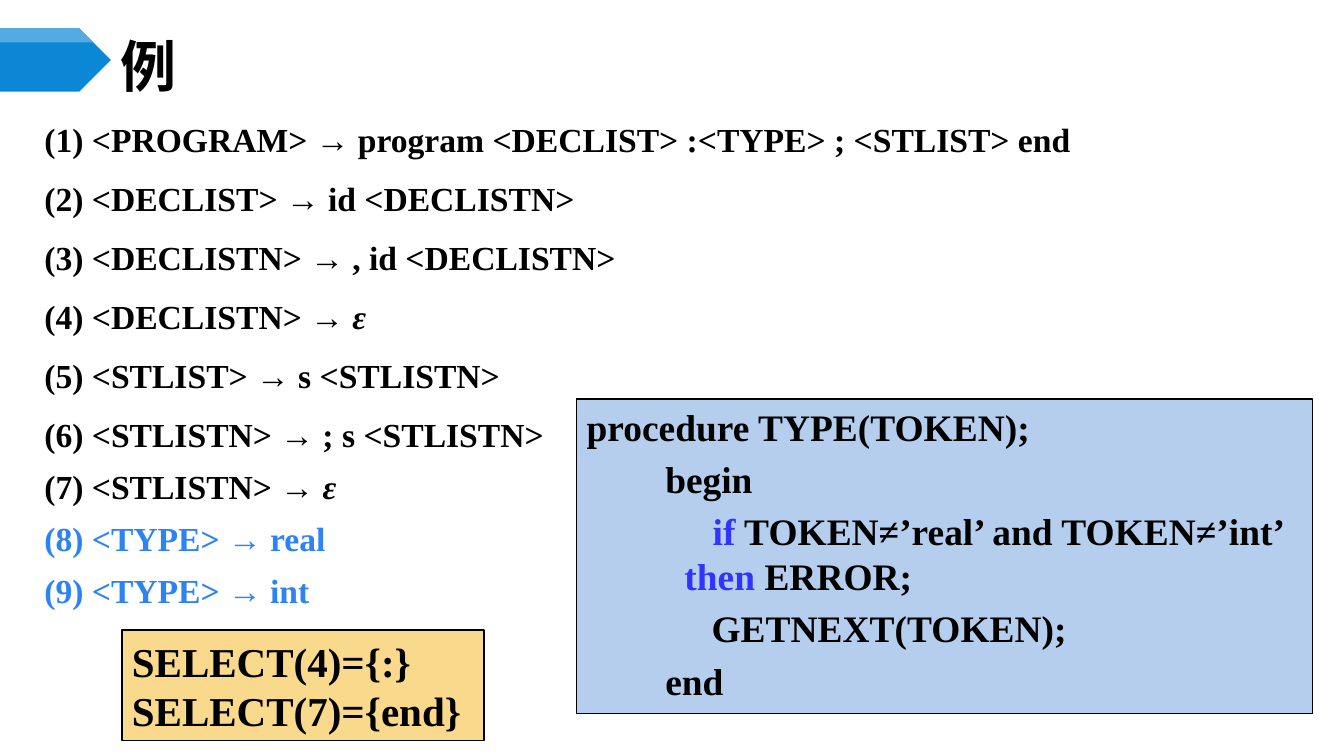
from lxml import etree
from pptx import Presentation
from pptx.dml.color import RGBColor
from pptx.enum.shapes import MSO_SHAPE
from pptx.enum.text import MSO_ANCHOR, MSO_AUTO_SIZE, PP_ALIGN
from pptx.oxml.ns import qn
from pptx.util import Inches, Pt

PENTAGON, RECTANGLE = MSO_SHAPE.PENTAGON, MSO_SHAPE.RECTANGLE
TOP, MIDDLE = MSO_ANCHOR.TOP, MSO_ANCHOR.MIDDLE
LEFT, NO_FIT = PP_ALIGN.LEFT, MSO_AUTO_SIZE.NONE

BLACK = RGBColor(0x00, 0x00, 0x00)
BLUE = RGBColor(0x0B, 0x87, 0xD6)
LIGHT_BLUE = RGBColor(0x54, 0xAB, 0xE2)
RULE_BLUE = RGBColor(0x2D, 0x83, 0xF4)
KEYWORD_BLUE = RGBColor(0x33, 0x33, 0xFF)
PALE_BLUE = RGBColor(0xB5, 0xCE, 0xED)
SAND = RGBColor(0xF9, 0xD9, 0x8C)
SERIF, SANS = "Times New Roman", "Noto Sans CJK SC"

RULES = [
    "<PROGRAM> → program <DECLIST> :<TYPE> ; <STLIST> end",
    "<DECLIST> → id <DECLISTN>",
    "<DECLISTN> → , id <DECLISTN>",
    "<DECLISTN> → ε",
    "<STLIST> → s <STLISTN>",
    "<STLISTN> → ; s <STLISTN>",
    "<STLISTN> → ε",
    "<TYPE> → real",
    "<TYPE> → int",
]
PROCEDURE = [
    (0, 0, ["procedure TYPE(TOKEN);"]),
    (0.78, 0, ["begin"]),
    (0.97, 0.28, ["if", " TOKEN≠’real’ and TOKEN≠’int’ ", "then", " ERROR;"]),
    (1.24, 0, ["GETNEXT(TOKEN);"]),
    (0.78, 0, ["end"]),
]
KEYWORDS = ("if", "then")
SELECT_SETS = ["SELECT(4)={:}", "SELECT(7)={end}"]


def place(shape, left, top, width, height):
    """Move a shape to a box given in inches."""
    shape.left, shape.top = Inches(left), Inches(top)
    shape.width, shape.height = Inches(width), Inches(height)


def paragraph_at(frame, index):
    """Return the first paragraph of a frame, or a new one after it."""
    return frame.add_paragraph() if index else frame.paragraphs[0]


def style(para, size, color=BLACK, name=SERIF):
    """Set the bold font of a paragraph."""
    para.alignment = LEFT
    font = para.font
    font.size, font.bold, font.name = Pt(size), True, name
    font.color.rgb = color


def indent(para, margin, first_line):
    """Set the left margin and first-line indent in inches, with no bullet."""
    properties = para._p.get_or_add_pPr()
    properties.set("marL", str(Inches(margin)))
    properties.set("indent", str(Inches(first_line)))
    etree.SubElement(properties, qn("a:buNone"))


def add_panel(slide, left, top, width, height, fill, anchor, wrap):
    """Add a filled, black-outlined rectangle and return its text frame."""
    panel = slide.shapes.add_shape(
        RECTANGLE, Inches(left), Inches(top), Inches(width), Inches(height))
    panel.shadow.inherit = False
    panel.fill.solid()
    panel.fill.fore_color.rgb = fill
    panel.line.color.rgb = BLACK
    panel.line.width = Pt(1)
    frame = panel.text_frame
    frame.vertical_anchor, frame.word_wrap = anchor, wrap
    return frame


def add_marker(slide, left, top, width, height):
    """Draw the blue pentagon with a lighter strip along its top."""
    pentagon = slide.shapes.add_shape(
        PENTAGON, Inches(left), Inches(top), Inches(width), Inches(height))
    strip = 0.14
    shoulder = left + width - height / 2
    corners = [(shoulder, top), (shoulder + strip, top + strip), (left, top + strip)]
    builder = slide.shapes.build_freeform(Inches(left), Inches(top))
    builder.add_line_segments([(Inches(x), Inches(y)) for x, y in corners])
    for shape, color in ((pentagon, BLUE), (builder.convert_to_shape(), LIGHT_BLUE)):
        shape.shadow.inherit = False
        shape.fill.solid()
        shape.fill.fore_color.rgb = color
        shape.line.fill.background()


def add_title(slide, left, top, width, height):
    """Fill the title placeholder."""
    title = slide.shapes.title
    place(title, left, top, width, height)
    frame = title.text_frame
    frame.text = "例"
    frame.auto_size, frame.vertical_anchor = NO_FIT, MIDDLE
    para = frame.paragraphs[0]
    style(para, 40, name=SANS)
    east_asian = etree.SubElement(para.font._element, qn("a:ea"))
    east_asian.set("typeface", SANS)


def add_rules(slide, left, top, width, height):
    """List the numbered grammar rules in the body placeholder."""
    body = slide.placeholders[1]
    place(body, left, top, width, height)
    frame = body.text_frame
    frame.auto_size, frame.vertical_anchor, frame.word_wrap = NO_FIT, TOP, True
    frame.margin_left = frame.margin_right = Inches(0.13)
    frame.margin_top = frame.margin_bottom = Inches(0.07)
    for index, rule in enumerate(RULES):
        para = paragraph_at(frame, index)
        para.line_spacing = Pt(37.3)
        para.space_before = Pt(4.8 if 0 < index < 6 else 0)
        indent(para, 0.5, -0.5)
        style(para, 24, RULE_BLUE if "<TYPE> →" in rule else BLACK)
        start, epsilon, _ = rule.partition("ε")
        para.add_run().text = f"({index + 1}) {start}"
        if epsilon:
            span = para.add_run()
            span.text = epsilon
            span.font.italic = True


def add_procedure(slide, left, top, width, height):
    """Show the parsing procedure with coloured keywords."""
    frame = add_panel(slide, left, top, width, height, PALE_BLUE, TOP, True)
    for index, (margin, first_line, pieces) in enumerate(PROCEDURE):
        para = paragraph_at(frame, index)
        para.line_spacing = Pt(32)
        para.space_before = Pt(5.3 if index else 0)
        indent(para, margin, first_line)
        style(para, 26.7)
        for piece in pieces:
            span = para.add_run()
            span.text = piece
            if piece in KEYWORDS:
                span.font.color.rgb = KEYWORD_BLUE


def add_select_sets(slide, left, top, width, height):
    """Show the SELECT sets of the empty rules."""
    frame = add_panel(slide, left, top, width, height, SAND, MIDDLE, False)
    for index, line in enumerate(SELECT_SETS):
        para = paragraph_at(frame, index)
        para.text = line
        para.line_spacing = Pt(35.5)
        style(para, 29.3)


def main():
    """Build the slide and save the deck."""
    deck = Presentation()
    deck.slide_width, deck.slide_height = Inches(13.33), Inches(7.5)
    slide = deck.slides.add_slide(deck.slide_layouts[1])
    add_marker(slide, 0, 0.28, 1.1, 0.63)
    add_title(slide, 1.1, 0.39, 5.77, 0.52)
    add_rules(slide, 0.31, 0.99, 12.71, 5.16)
    add_procedure(slide, 5.72, 3.96, 7.3, 3.12)
    add_select_sets(slide, 1.21, 6.25, 3.59, 1.1)
    deck.save("out.pptx")


if __name__ == "__main__":
    main()
